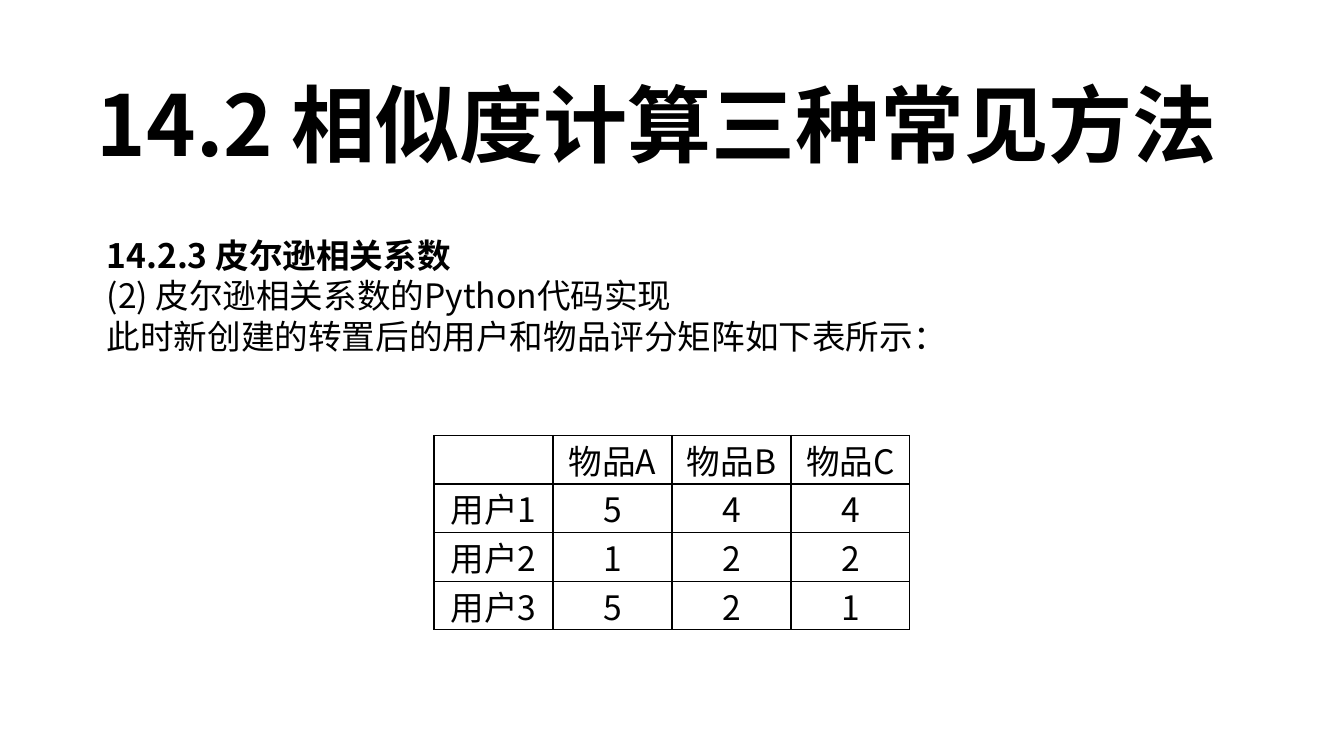
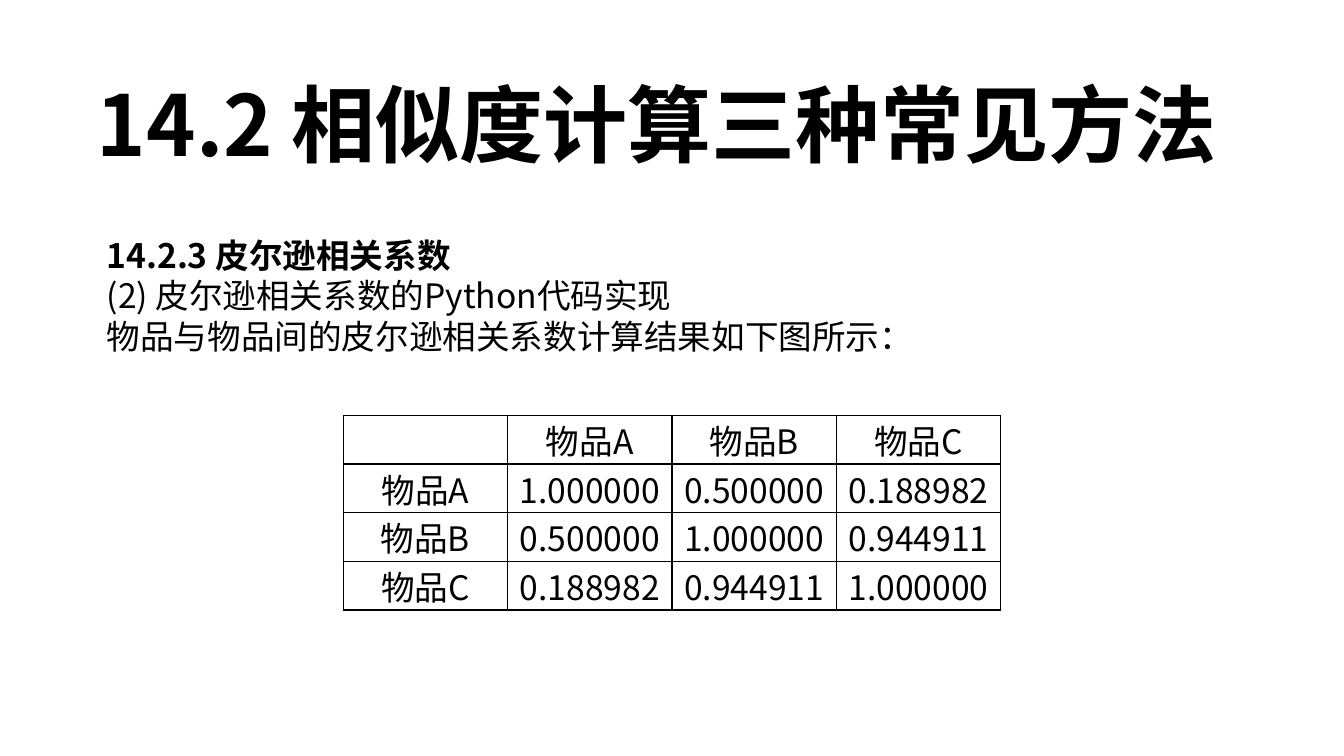
from dataclasses import dataclass

from lxml.etree import SubElement
from pptx import Presentation
from pptx.dml.color import RGBColor
from pptx.enum.text import MSO_ANCHOR, MSO_AUTO_SIZE, PP_ALIGN
from pptx.oxml.ns import qn
from pptx.util import Pt

# Shared style
BLACK = RGBColor(0x00, 0x00, 0x00)
WHITE = RGBColor(0xFF, 0xFF, 0xFF)
FONT = "Noto Sans CJK SC"
SLIDE_WIDTH, SLIDE_HEIGHT = 960, 540
ROW_HEIGHT = 34.75
TITLE = "14.2 相似度计算三种常见方法"
HEADINGS = ["14.2.3 皮尔逊相关系数", "(2) 皮尔逊相关系数的Python代码实现"]
ITEMS = ["物品A", "物品B", "物品C"]

FRAME_FORMAT = {
    "auto_size": MSO_AUTO_SIZE.SHAPE_TO_FIT_TEXT,
    "vertical_anchor": MSO_ANCHOR.TOP,
    "margin_left": Pt(7.2),
    "margin_right": Pt(7.2),
    "margin_bottom": Pt(0),
}
PARAGRAPH_FORMAT = {"space_before": Pt(0), "space_after": Pt(0)}
CELL_FORMAT = {
    "vertical_anchor": MSO_ANCHOR.MIDDLE,
    "margin_left": 0,
    "margin_right": 0,
    "margin_top": 0,
    "margin_bottom": 0,
}


@dataclass(frozen=True)
class TextBlock:
    """Place and type of a placeholder, in points."""
    left: float
    top: float
    width: float
    height: float
    margin_top: float
    size: float
    line_height: float
    wrap: bool


@dataclass(frozen=True)
class MatrixSlide:
    """A sentence and the matrix that it introduces."""
    sentence: str
    table_top: float
    column_width: float
    rows: list[list[str]]


TITLE_BLOCK = TextBlock(62, 44, 836.5, 80, 8, 60, 72, False)
BODY_BLOCK = TextBlock(69, 162, 821.5, 94, 5.5, 24, 29, True)

SLIDES = [
    MatrixSlide("此时新创建的转置后的用户和物品评分矩阵如下表所示：", 311, 85, [
        ["", *ITEMS],
        ["用户1", "5", "4", "4"],
        ["用户2", "1", "2", "2"],
        ["用户3", "5", "2", "1"],
    ]),
    MatrixSlide("物品与物品间的皮尔逊相关系数计算结果如下图所示：", 296.75, 117.4, [
        ["", *ITEMS],
        ["物品A", "1.000000", "0.500000", "0.188982"],
        ["物品B", "0.500000", "1.000000", "0.944911"],
        ["物品C", "0.188982", "0.944911", "1.000000"],
    ]),
]


def apply_format(target: object, values: dict) -> None:
    for name, value in values.items():
        setattr(target, name, value)


def add_text(paragraph, text: str, size: float, bold: bool = False) -> None:
    run = paragraph.add_run()
    run.text = text
    apply_format(run.font, {"name": FONT, "size": Pt(size), "bold": bold})
    run.font.color.rgb = BLACK
    # The East Asian typeface has no public property
    SubElement(run.font._element, qn("a:ea"), typeface=FONT)


def fill_placeholder(shape, block: TextBlock, lines: list[str]) -> None:
    for name in ("left", "top", "width", "height"):
        setattr(shape, name, Pt(getattr(block, name)))
    frame = shape.text_frame
    apply_format(frame, FRAME_FORMAT)
    apply_format(frame, {"margin_top": Pt(block.margin_top), "word_wrap": block.wrap})
    for index, line in enumerate(lines):
        paragraph = frame.add_paragraph() if index else frame.paragraphs[0]
        apply_format(paragraph, PARAGRAPH_FORMAT)
        apply_format(paragraph, {"alignment": PP_ALIGN.LEFT,
                                 "line_spacing": Pt(block.line_height)})
        # No bullet and no hanging indent
        properties = paragraph._p.get_or_add_pPr()
        properties.set("marL", "0")
        properties.set("indent", "0")
        SubElement(properties, qn("a:buNone"))
        add_text(paragraph, line, block.size, bold=index == 0)


def add_borders(cell) -> None:
    properties = cell._tc.get_or_add_tcPr()
    for side in ("lnL", "lnR", "lnT", "lnB"):
        line = SubElement(properties, qn(f"a:{side}"), w=str(Pt(1)))
        fill = SubElement(line, qn("a:solidFill"))
        SubElement(fill, qn("a:srgbClr"), val=str(BLACK))


def add_matrix(slide, matrix: MatrixSlide) -> None:
    row_count, column_count = len(matrix.rows), len(matrix.rows[0])
    width = column_count * matrix.column_width
    table = slide.shapes.add_table(
        row_count, column_count,
        Pt((SLIDE_WIDTH - width) / 2), Pt(matrix.table_top),
        Pt(width), Pt(row_count * ROW_HEIGHT)).table
    apply_format(table, {"first_row": False, "horz_banding": False})
    for column in table.columns:
        column.width = Pt(matrix.column_width)
    for row, values in zip(table.rows, matrix.rows):
        row.height = Pt(ROW_HEIGHT)
        for cell, value in zip(row.cells, values):
            apply_format(cell, CELL_FORMAT)
            add_borders(cell)
            cell.fill.solid()
            cell.fill.fore_color.rgb = WHITE
            if value:
                paragraph = cell.text_frame.paragraphs[0]
                paragraph.alignment = PP_ALIGN.CENTER
                add_text(paragraph, value, 24)


def main() -> None:
    presentation = Presentation()
    presentation.slide_width = Pt(SLIDE_WIDTH)
    presentation.slide_height = Pt(SLIDE_HEIGHT)
    layout = presentation.slide_layouts.get_by_name("Title and Content")
    for matrix in SLIDES:
        slide = presentation.slides.add_slide(layout)
        fill_placeholder(slide.shapes.title, TITLE_BLOCK, [TITLE])
        fill_placeholder(slide.placeholders[1], BODY_BLOCK, [*HEADINGS, matrix.sentence])
        add_matrix(slide, matrix)
    presentation.save("out.pptx")


if __name__ == "__main__":
    main()
